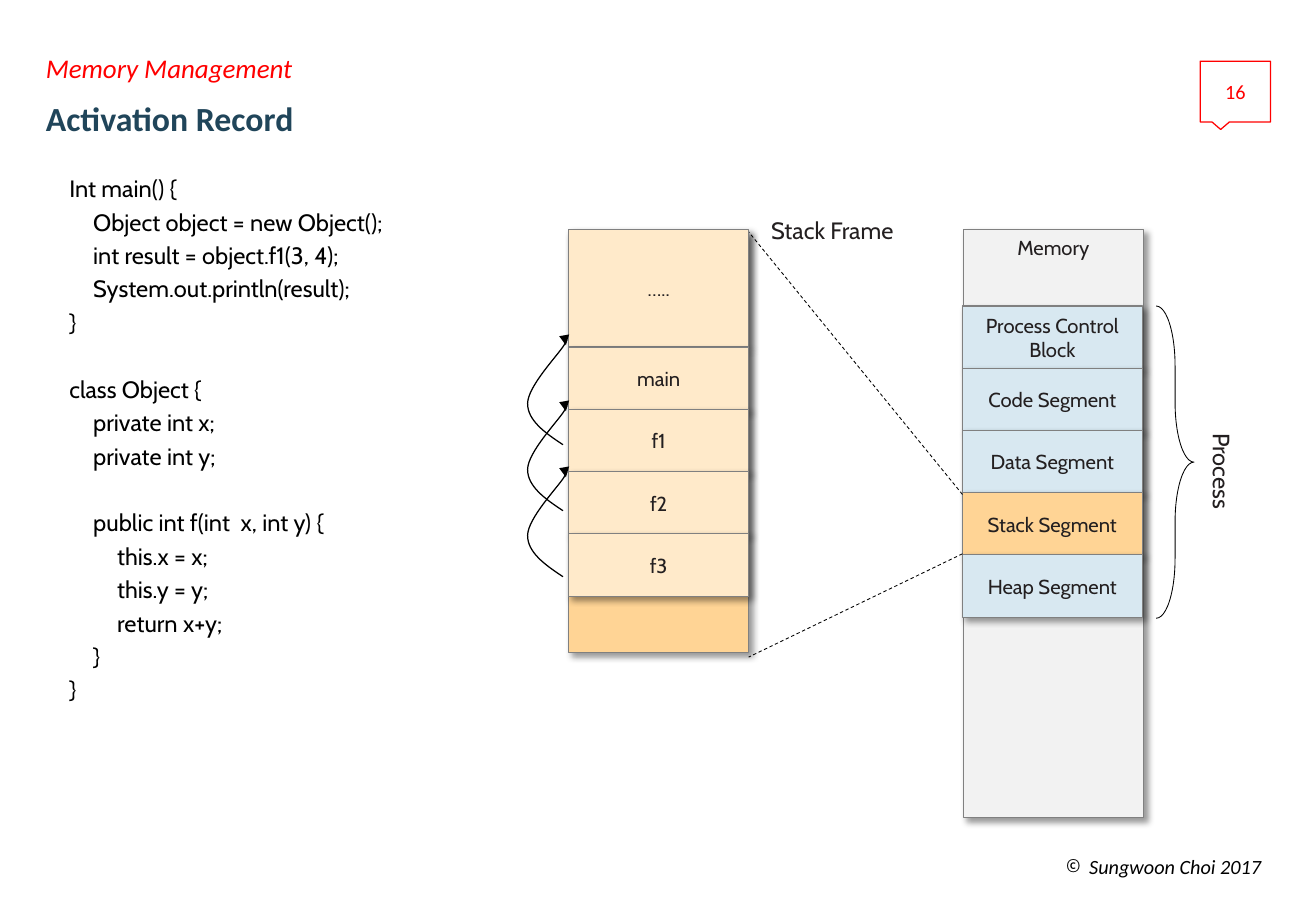
"""Build the slide on activation records in the stack segment."""
from lxml.etree import SubElement
from pptx import Presentation
from pptx.dml.color import RGBColor
from pptx.enum.dml import MSO_LINE
from pptx.enum.shapes import MSO_CONNECTOR, MSO_SHAPE
from pptx.enum.text import MSO_ANCHOR, PP_ALIGN
from pptx.oxml import parse_xml
from pptx.oxml.ns import nsdecls, qn
from pptx.util import Cm, Pt

BLACK = RGBColor(0x00, 0x00, 0x00)
RED = RGBColor(0xFF, 0x00, 0x00)
NAVY = RGBColor(0x20, 0x45, 0x5A)
INK = RGBColor(0x23, 0x1F, 0x20)
EDGE = RGBColor(0x80, 0x80, 0x80)
PALE = RGBColor(0xF2, 0xF2, 0xF2)
BLUE = RGBColor(0xD8, 0xE8, 0xF1)
AMBER = RGBColor(0xFF, 0xD4, 0x95)
CREAM = RGBColor(0xFF, 0xEA, 0xCA)

SHADOW = (
    f'<a:effectLst {nsdecls("a")}><a:outerShdw blurRad="50800" dist="38100" '
    'dir="2700000" algn="tl" rotWithShape="0"><a:srgbClr val="000000">'
    '<a:alpha val="40000"/></a:srgbClr></a:outerShdw></a:effectLst>'
)


def write(shape, text, size=12, font="Cabin", color=INK, bold=False, italic=False,
          align=PP_ALIGN.CENTER, anchor=MSO_ANCHOR.MIDDLE, wrap=True,
          pad=(0.25, 0.13), before=0, lines=None, left=0):
    frame = shape.text_frame
    frame.word_wrap = wrap
    frame.vertical_anchor = anchor
    frame.margin_left = frame.margin_right = Cm(pad[0])
    frame.margin_top = frame.margin_bottom = Cm(pad[1])
    para = frame.add_paragraph() if frame.text else frame.paragraphs[0]
    para.alignment = align
    para.space_before = Pt(before)
    para.line_spacing = lines
    para._p.get_or_add_pPr().set("marL", str(Cm(left)))
    run = para.add_run()
    run.text = text
    run.font.size = Pt(size)
    run.font.name = font
    run.font.color.rgb = color
    run.font.bold = bold
    run.font.italic = italic
    return para


def block(left, top, height, fill, text="", anchor=MSO_ANCHOR.MIDDLE):
    rect = shapes.add_shape(MSO_SHAPE.RECTANGLE, Cm(left), Cm(top), Cm(3.76), Cm(height))
    rect.fill.solid()
    rect.fill.fore_color.rgb = fill
    rect.line.color.rgb = EDGE
    rect.line.width = Pt(0.75)
    rect._element.spPr.append(parse_xml(SHADOW))
    if text:
        write(rect, text, anchor=anchor)


deck = Presentation()
deck.slide_width, deck.slide_height = Cm(27.51), Cm(19.05)
shapes = deck.slides.add_slide(deck.slide_layouts[6]).shapes

block(20.14, 4.8, 12.3, PALE, "Memory", MSO_ANCHOR.TOP)
block(11.89, 4.85, 8.79, AMBER)

title = shapes.add_textbox(Cm(0.78), Cm(1.83), Cm(23.77), Cm(1.4))
write(title, "Activation Record", size=20, font="Calibri", color=NAVY, bold=True,
      align=PP_ALIGN.LEFT, pad=(0.18, 0), lines=0.9)
topic = shapes.add_textbox(Cm(0.78), Cm(1.02), Cm(23.77), Cm(0.81))
write(topic, "Memory Management", size=16, font="Calibri", color=RED, italic=True,
      align=PP_ALIGN.LEFT, pad=(0.18, 0.1), before=3)

credit = shapes.add_textbox(Cm(22.08), Cm(17.81), Cm(4.47), Cm(0.56))
para = write(credit, "Sungwoon Choi 2017", font="Calibri", color=BLACK, italic=True,
             align=PP_ALIGN.RIGHT, anchor=MSO_ANCHOR.BOTTOM, pad=(0.18, 0), left=0.48)
props = para._p.get_or_add_pPr()
props.set("indent", str(Cm(-0.48)))
SubElement(props, qn("a:buFont"), typeface="Cabin")
SubElement(props, qn("a:buChar"), char="©")

badge = shapes.add_shape(MSO_SHAPE.RECTANGULAR_CALLOUT, Cm(25.09), Cm(1.28), Cm(1.47), Cm(1.27))
badge.shadow.inherit = False
badge.fill.background()
badge.line.color.rgb = RED
badge.line.width = Pt(0.75)
write(badge, "16", font="Calibri", color=RED, pad=(0.41, 0.38))

code = shapes.add_textbox(Cm(1.27), Cm(3.54), Cm(12.5), Cm(13.97))
parts = [
    [(0, "Int main() {"), (1, "Object object = new Object();"),
     (1, "int result = object.f1(3, 4);"), (1, "System.out.println(result);"), (0, "}")],
    [(0, "class Object {"), (1, "private int x;"), (1, "private int y;")],
    [(1, "public int f(int  x, int y) {"), (2, "this.x = x;"), (2, "this.y = y;"),
     (2, "return x+y;"), (1, "}"), (0, "}")],
]
for part, rows in enumerate(parts):
    for row, (level, text) in enumerate(rows):
        gap = 22.8 if part and row == 0 else 3
        write(code, text, size=14, color=BLACK, align=PP_ALIGN.LEFT,
              anchor=MSO_ANCHOR.TOP, pad=(0.18, 0.1), before=gap, left=0.5 * level)

PITCH = 1.3
names = ["Process Control Block", "Code Segment", "Data Segment",
         "Stack Segment", "Heap Segment"]
for i, name in enumerate(names):
    fill = AMBER if name == "Stack Segment" else BLUE
    block(20.12, 6.4 + i * PITCH, 1.32, fill, name)

for start, end in [(10.34, 4.85), (11.58, 13.74)]:
    ray = shapes.add_connector(MSO_CONNECTOR.STRAIGHT, Cm(20.12), Cm(start),
                               Cm(15.65), Cm(end))
    ray.line.color.rgb = BLACK
    ray.line.width = Pt(0.5)
    ray.line.dash_style = MSO_LINE.DASH
    SubElement(ray._element.spPr, qn("a:effectLst"))

block(11.89, 4.8, 2.46, CREAM, "…..")
for i, name in enumerate(["main", "f1", "f2", "f3"]):
    block(11.89, 7.26 + i * PITCH, 1.32, CREAM, name)

label = shapes.add_textbox(Cm(15.85), Cm(4.39), Cm(3.1), Cm(0.86))
write(label, "Stack Frame", size=14, wrap=False, anchor=MSO_ANCHOR.TOP)

brace = shapes.add_shape(MSO_SHAPE.RIGHT_BRACE, Cm(24.17), Cm(6.4), Cm(0.79), Cm(6.53))
brace.adjustments[0] = 1.58
brace.shadow.inherit = False
brace.fill.background()
brace.line.color.rgb = BLACK
brace.line.width = Pt(0.5)

side = shapes.add_textbox(Cm(24.49), Cm(9.42), Cm(2.11), Cm(0.86))
side.rotation = 90
write(side, "Process", size=14, wrap=False, anchor=MSO_ANCHOR.TOP)

bends = [(-0.38, -0.25), (-0.74, -0.51), (-0.74, -0.86),
         (-0.74, -1.22), (-0.1, -1.88), (0.02, -2.08),
         (0.14, -2.29), (0.1, -2.18), (0.06, -2.08)]
for i in range(3):
    left, top = 11.77, 12.06 - 1.38 * i
    pen = shapes.build_freeform(Cm(left), Cm(top))
    pen.add_line_segments([(Cm(left + x), Cm(top + y)) for x, y in bends], close=False)
    arrow = pen.convert_to_shape()
    legs = list(arrow._element.iter(qn("a:lnTo")))
    track = legs[0].getparent()
    for j, leg in enumerate(legs):
        if j % 3 == 0:
            curve = SubElement(track, qn("a:cubicBezTo"))
        curve.append(leg[0])
        track.remove(leg)
    arrow.shadow.inherit = False
    arrow.fill.background()
    arrow.line.color.rgb = BLACK
    arrow.line.width = Pt(0.75)
    SubElement(arrow.line._get_or_add_ln(), qn("a:tailEnd"), type="triangle")

deck.save("out.pptx")
